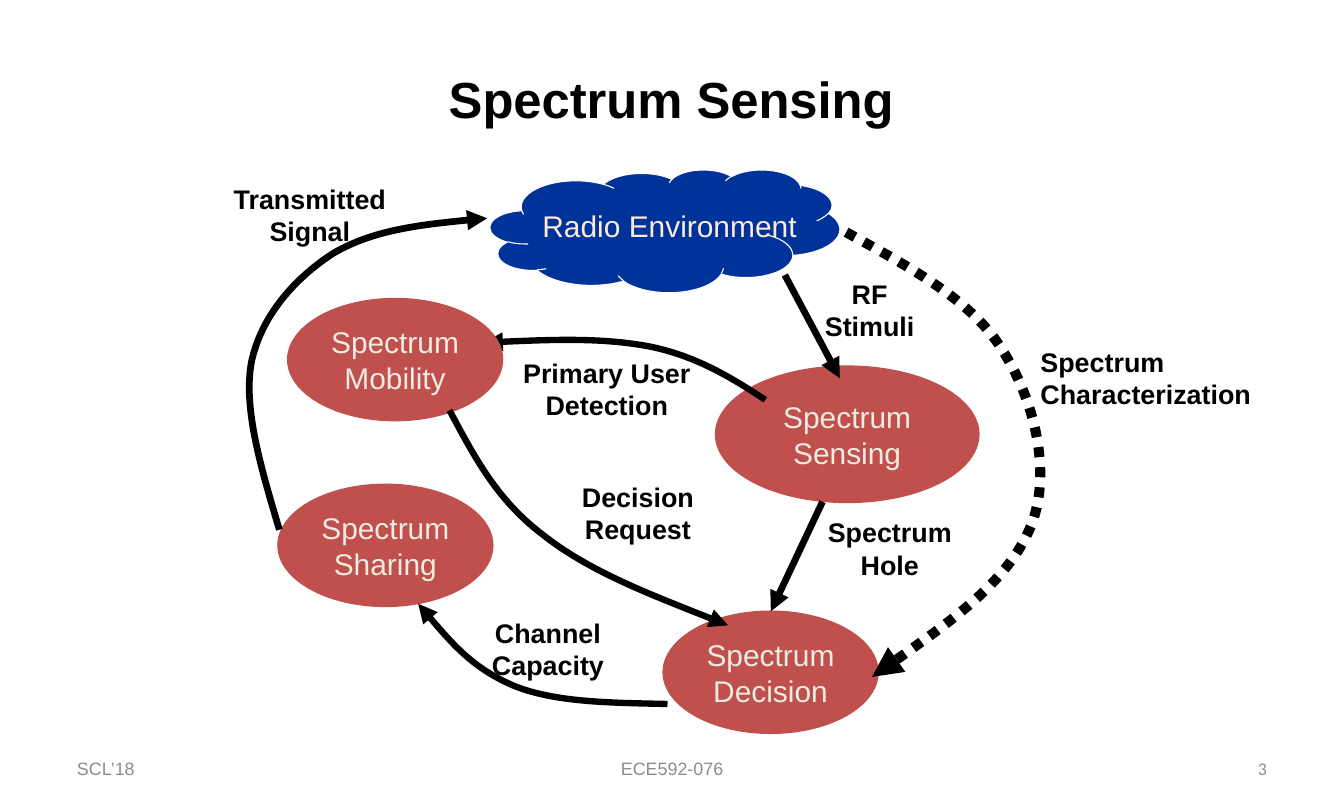
from lxml import etree
from pptx import Presentation
from pptx.dml.color import RGBColor
from pptx.enum.dml import MSO_LINE
from pptx.enum.shapes import MSO_CONNECTOR, MSO_SHAPE
from pptx.enum.text import MSO_ANCHOR, PP_ALIGN
from pptx.oxml.ns import qn
from pptx.util import Cm, Pt

OVAL, CLOUD = MSO_SHAPE.OVAL, MSO_SHAPE.CLOUD_CALLOUT
STRAIGHT = MSO_CONNECTOR.STRAIGHT
DOTTED = MSO_LINE.ROUND_DOT
LEFT, CENTER, RIGHT = PP_ALIGN.LEFT, PP_ALIGN.CENTER, PP_ALIGN.RIGHT
TOP, MIDDLE = MSO_ANCHOR.TOP, MSO_ANCHOR.MIDDLE

BLACK = RGBColor(0x00, 0x00, 0x00)
WHITE = RGBColor(0xFF, 0xFF, 0xFF)
GRAY = RGBColor(0x8C, 0x8C, 0x8C)
RED = RGBColor(0xC0, 0x50, 0x4D)
BLUE = RGBColor(0x00, 0x33, 0x99)
CREAM = RGBColor(0xEE, 0xEC, 0xE1)
PEACH = RGBColor(0xFD, 0xEA, 0xDA)

CLOUD_PATCH = [
    (14.5, 6.43), (14.12, 6.53), (13.89, 6.63), (13.46, 6.63), (13.26, 6.55),
    (13, 6.38), (12.93, 6.32), (13.06, 6.05), (13.51, 5.84), (13.97, 5.56),
    (14.96, 5.46), (15.21, 5.44), (15.34, 5.38), (15.57, 5.49), (15.6, 5.6),
    (15.57, 5.77), (15.34, 5.89), (15.06, 6.1), (14.66, 6.22)]
CAPACITY_CURVE = [
    (15.77, 16.64), (14.48, 16.61), (13.18, 16.61), (12.19, 16.23),
    (11.2, 15.82), (10.54, 15.06), (9.88, 14.27)]
DETECTION_CURVE = [
    (18.08, 9.45), (17.3, 8.94), (16.48, 8.43), (15.39, 8.2),
    (14.27, 7.98), (12.85, 8.03), (11.43, 8.1)]
CHARACTERIZATION_CURVE = [
    (19.99, 5.49), (21.46, 6.3), (22.96, 7.09), (23.67, 8.26), (24.41, 9.4),
    (24.87, 11.13), (24.36, 12.42), (23.83, 13.72), (22.23, 14.86), (20.6, 16)]
REQUEST_CURVE = [
    (10.62, 9.7), (11.18, 10.74), (11.71, 11.79), (12.8, 12.62),
    (13.89, 13.49), (15.54, 14.12), (17.2, 14.78)]
SIGNAL_CURVE = [
    (6.6, 12.52), (6.17, 11.07), (5.74, 9.65), (5.94, 8.56), (6.17, 7.47),
    (6.96, 6.58), (7.87, 5.99), (8.81, 5.44), (10.16, 5.28), (11.51, 5.16)]


def write(frame, lines, size, color, bold=False, align=CENTER, anchor=MIDDLE,
          wrap=True, font="Arial"):
    """Fill a text frame with one paragraph per line."""
    frame.word_wrap = wrap
    frame.vertical_anchor = anchor
    for index, line in enumerate(lines):
        para = frame.add_paragraph() if index else frame.paragraphs[0]
        para.alignment = align
        span = para.add_run()
        span.text = line
        span.font.size = Pt(size)
        span.font.name = font
        span.font.bold = bold
        span.font.color.rgb = color


def add_text(page, left, top, width, height, lines, size, color, **style):
    """Add a text box."""
    box = page.shapes.add_textbox(Cm(left), Cm(top), Cm(width), Cm(height))
    write(box.text_frame, lines, size, color, **style)


def add_label(page, left, top, width, *lines, **style):
    """Add a bold caption beside an arrow."""
    add_text(page, left, top, width, 1.8, lines, 18, BLACK, bold=True,
             anchor=TOP, **style)


def add_ellipse(page, left, top, word, width=5.11, height=2.92, border=0):
    """Add a red ellipse for one spectrum function."""
    ellipse = page.shapes.add_shape(OVAL, Cm(left), Cm(top), Cm(width), Cm(height))
    ellipse.shadow.inherit = False
    ellipse.fill.solid()
    ellipse.fill.fore_color.rgb = RED
    if border:
        ellipse.line.color.rgb = RED
        ellipse.line.width = Pt(border)
    else:
        ellipse.line.fill.background()
    write(ellipse.text_frame, ["Spectrum", word], 20, CREAM, wrap=False)


def add_outline(page, points, close):
    """Add a freeform through points given in centimetres."""
    spots = [(Cm(x), Cm(y)) for x, y in points]
    builder = page.shapes.build_freeform(*spots[0])
    builder.add_line_segments(spots[1:], close=close)
    outline = builder.convert_to_shape()
    outline.shadow.inherit = False
    return outline


def style_arrow(arrow, width, dash=None):
    """Give a line its black stroke and end arrowhead."""
    arrow.line.color.rgb = BLACK
    arrow.line.width = Pt(width)
    if dash:
        arrow.line.dash_style = dash
    stroke = arrow.element.spPr.find(qn("a:ln"))
    etree.SubElement(stroke, qn("a:tailEnd"), type="triangle")


def add_curve(page, points, width=4.25, dash=None):
    """Add a curved arrow from a start point and Bezier point triples."""
    curve = add_outline(page, points, close=False)
    curve.fill.background()
    steps = list(curve.element.iter(qn("a:lnTo")))
    for first in range(0, len(steps), 3):
        bend = etree.Element(qn("a:cubicBezTo"))
        steps[first].addprevious(bend)
        for step in steps[first:first + 3]:
            bend.append(step[0])
            step.getparent().remove(step)
    style_arrow(curve, width, dash)


def add_arrow(page, start, end):
    """Add a straight arrow between two points."""
    arrow = page.shapes.add_connector(
        STRAIGHT, *[Cm(value) for value in (*start, *end)])
    style_arrow(arrow, 4.5)
    etree.SubElement(arrow.element.spPr, qn("a:effectLst"))


def add_cloud(page):
    """Add the blue radio environment cloud and its text."""
    cloud = page.shapes.add_shape(CLOUD, Cm(11.58), Cm(4.01), Cm(8.26), Cm(2.9))
    cloud.adjustments[0] = -0.04
    cloud.adjustments[1] = 0.05
    cloud.shadow.inherit = False
    cloud.line.color.rgb = WHITE
    cloud.line.width = Pt(0.75)
    patch = add_outline(page, CLOUD_PATCH, close=True)
    patch.line.fill.background()
    for part in (cloud, patch):
        part.fill.solid()
        part.fill.fore_color.rgb = BLUE
    add_text(page, 11.86, 4.6, 7.92, 1.45, ["Radio Environment"], 20, PEACH,
             wrap=False)


def main():
    """Build the spectrum sensing slide."""
    deck = Presentation()
    deck.slide_width, deck.slide_height = Cm(31.75), Cm(19.05)
    page = deck.slides.add_slide(deck.slide_layouts[6])

    add_text(page, 1.57, 1.3, 28.58, 2.03, ["Spectrum Sensing"], 34, BLACK, bold=True)
    for left, width, words, align, font in (
            (1.57, 7.42, "SCL\u201918", LEFT, "Arial"),
            (10.85, 10.06, "ECE592-076", CENTER, "Arial"),
            (22.76, 7.42, "3", RIGHT, "Calibri")):
        add_text(page, left, 17.65, width, 1.02, [words], 12, GRAY,
                 align=align, font=font)

    add_ellipse(page, 6.55, 11.43, "Sharing")
    add_ellipse(page, 16.94, 8.69, "Sensing", 6.15, 3.15, border=3)
    add_ellipse(page, 15.65, 14.43, "Decision")
    add_arrow(page, (18.54, 6.5), (19.84, 8.94))
    add_arrow(page, (19.43, 11.86), (18.21, 14.45))
    add_curve(page, CAPACITY_CURVE)
    add_curve(page, DETECTION_CURVE)
    add_label(page, 10.8, 14.45, 4.29, "Channel Capacity")
    add_label(page, 11.63, 8.31, 5.41, "Primary User Detection")
    add_label(page, 17.6, 6.43, 5.89, "RF", "Stimuli")
    add_label(page, 18.85, 12.07, 4.34, "Spectrum Hole")
    add_curve(page, CHARACTERIZATION_CURVE, 6.75, DOTTED)
    add_cloud(page)
    add_ellipse(page, 6.78, 7.04, "Mobility")
    add_curve(page, REQUEST_CURVE)
    add_label(page, 12.9, 11.23, 4.34, "Decision Request")
    add_label(page, 4.88, 4.19, 4.88, "Transmitted Signal")
    add_curve(page, SIGNAL_CURVE, 4.5)
    add_label(page, 24.33, 8.05, 5.54, "Spectrum", "Characterization",
              align=LEFT, wrap=False)
    deck.save("out.pptx")


main()
